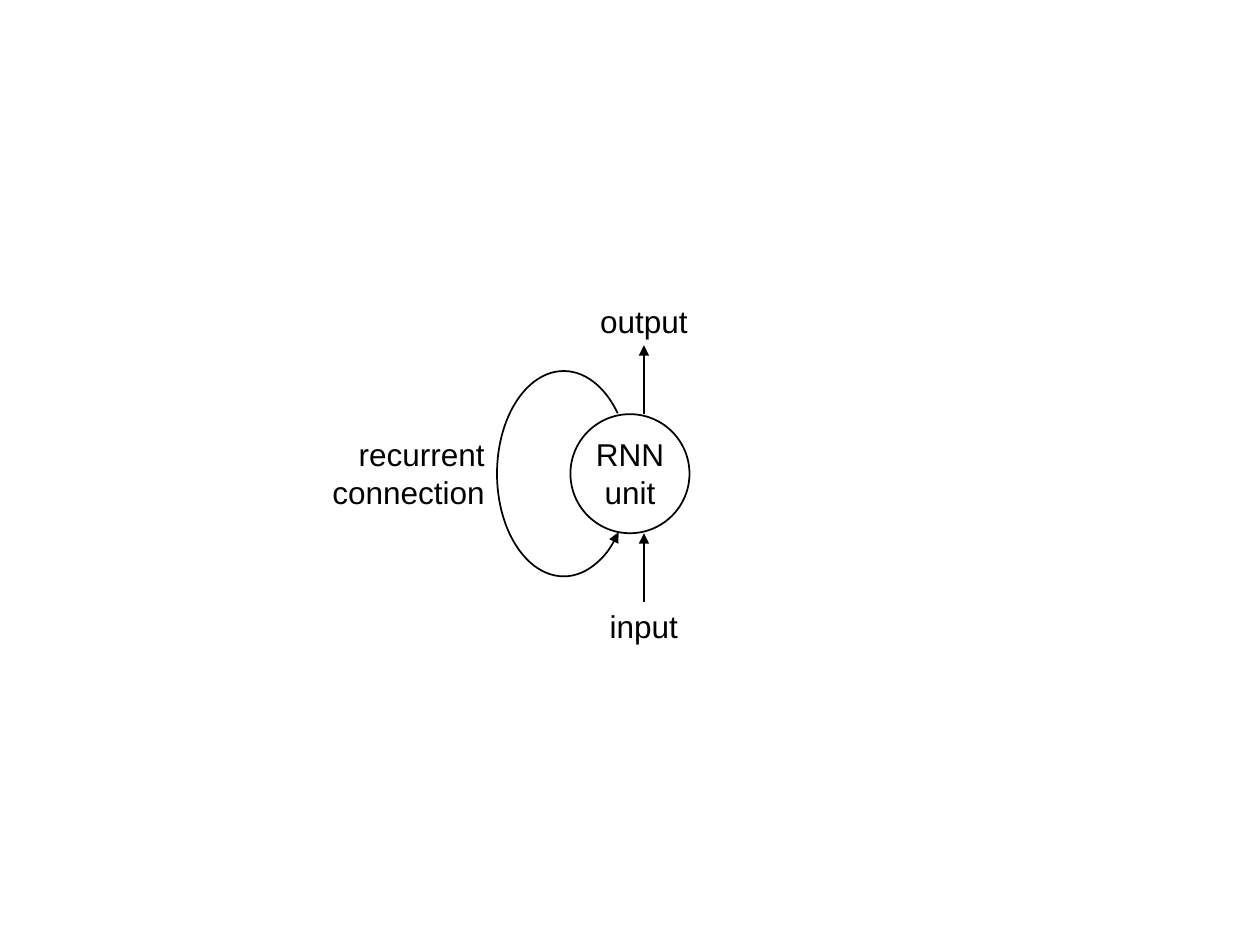
import pptx
import pptx.dml.color
import pptx.enum.shapes
import pptx.enum.text
import pptx.oxml
import pptx.oxml.ns
import pptx.util

Cm = pptx.util.Cm
Pt = pptx.util.Pt
SHAPE = pptx.enum.shapes.MSO_SHAPE
ALIGN = pptx.enum.text.PP_ALIGN
COLORS = {"ink": "000000"}


class Diagram:
    """Holds the drawing style and the current slide."""

    font = {"name": "Arial", "size": Pt(18)}
    line_width = Pt(1)

    def __init__(self, slide):
        self.slide = slide
        self.ink = pptx.dml.color.RGBColor.from_string(COLORS["ink"])

    def stroke(self, line, arrow_end=None):
        line.color.rgb = self.ink
        line.width = self.line_width
        if arrow_end:
            ns = pptx.oxml.ns.nsdecls("a")
            line._get_or_add_ln().append(
                pptx.oxml.parse_xml(f'<a:{arrow_end} {ns} type="triangle"/>'))

    def outline(self, preset, left, top, width, height, arrow_end=None):
        shape = self.slide.shapes.add_shape(
            preset, Cm(left), Cm(top), Cm(width), Cm(height))
        shape.shadow.inherit = False
        shape.fill.background()
        self.stroke(shape.line, arrow_end)
        return shape

    def arc(self, left, top, width, height, start, end):
        """Draw an arc between two angles in degrees, arrow at the start."""
        shape = self.outline(SHAPE.ARC, left, top, width, height, "headEnd")
        for index, angle in enumerate((start, end)):
            shape.adjustments[index] = angle * 0.6
        return shape

    def up_arrow(self, x, bottom, top):
        arrow = self.slide.shapes.add_connector(
            pptx.enum.shapes.MSO_CONNECTOR.STRAIGHT,
            Cm(x), Cm(bottom), Cm(x), Cm(top))
        self.stroke(arrow.line, "tailEnd")
        arrow._element.spPr.append(pptx.oxml.parse_xml(
            f'<a:effectLst {pptx.oxml.ns.nsdecls("a")}/>'))
        return arrow

    def label(self, text, left, top, width, height, align=ALIGN.CENTER, wrap=True):
        box = self.slide.shapes.add_textbox(
            Cm(left), Cm(top), Cm(width), Cm(height))
        frame = box.text_frame
        frame.word_wrap = wrap
        frame.auto_size = pptx.enum.text.MSO_AUTO_SIZE.SHAPE_TO_FIT_TEXT
        paragraph = frame.paragraphs[0]
        paragraph.text = text
        paragraph.alignment = align
        for run in paragraph.runs:
            for attribute, value in self.font.items():
                setattr(run.font, attribute, value)
            run.font.color.rgb = self.ink
        return box


deck = pptx.Presentation()
deck.slide_width, deck.slide_height = Cm(25.4), Cm(19.05)
diagram = Diagram(deck.slides.add_slide(deck.slide_layouts[6]))

# Unit circle
center_x, center_y, radius = 12.7, 9.55, 1.2
unit_top, unit_bottom = center_y - radius, center_y + radius
diagram.outline(SHAPE.OVAL, center_x - radius, unit_top, 2 * radius, 2 * radius)

# Output and input arrows
flow_x, flow_length = 12.98, 1.39
diagram.up_arrow(flow_x, unit_top, unit_top - flow_length)
diagram.up_arrow(flow_x, unit_bottom + flow_length, unit_bottom)

# Recurrent loop
loop_left, loop_height = 10.02, 4.14
diagram.arc(loop_left, center_y - loop_height / 2, 2.69, loop_height, 46.86, 311.83)

# Labels beside the arrows
for word, top, width in (("input", 12.12, 1.88), ("output", 5.97, 2.29)):
    diagram.label(word, flow_x - width / 2, top, width, 1.02, wrap=False)

# Two-line labels, centred on the unit
pair_height = 1.8
pair_top = center_y - pair_height / 2
diagram.label("recurrent connection", loop_left - 3.68, pair_top, 3.68, pair_height,
              align=ALIGN.RIGHT)
diagram.label("RNN\vunit", center_x - 1.02, pair_top, 2.04, pair_height)

deck.save("out.pptx")
